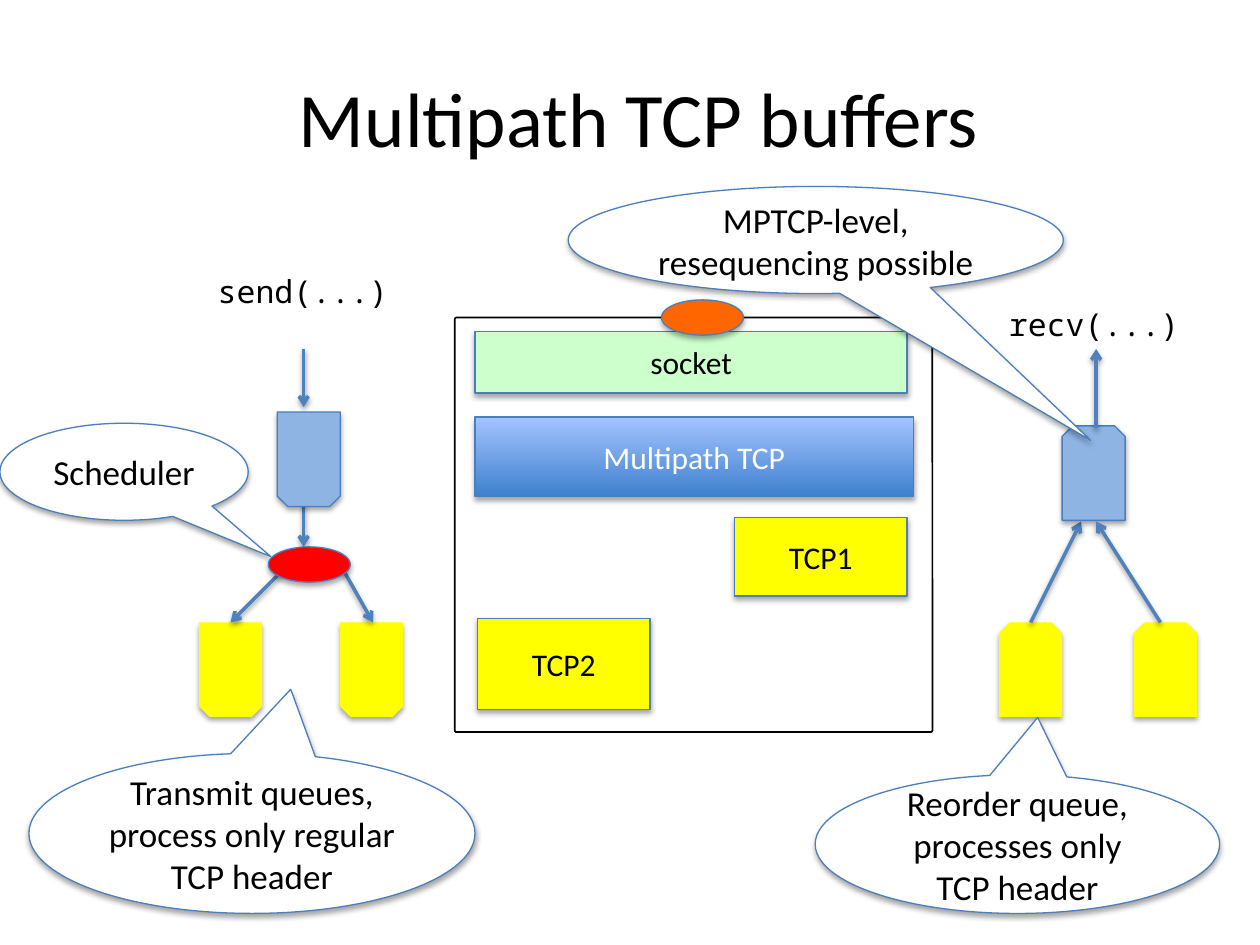
from dataclasses import dataclass
from typing import Optional

from lxml import etree
from pptx import Presentation
from pptx.dml.color import RGBColor
from pptx.enum.shapes import MSO_CONNECTOR, MSO_SHAPE
from pptx.enum.text import MSO_ANCHOR, PP_ALIGN
from pptx.oxml.ns import qn
from pptx.util import Inches, Pt

RECTANGLE = MSO_SHAPE.RECTANGLE
ROUNDED = MSO_SHAPE.ROUNDED_RECTANGLE
OVAL = MSO_SHAPE.OVAL
QUEUE = MSO_SHAPE.SNIP_2_SAME_RECTANGLE
CALLOUT = MSO_SHAPE.OVAL_CALLOUT
STRAIGHT = MSO_CONNECTOR.STRAIGHT
CENTER, LEFT = PP_ALIGN.CENTER, PP_ALIGN.LEFT
MIDDLE, TOP = MSO_ANCHOR.MIDDLE, MSO_ANCHOR.TOP


@dataclass(frozen=True)
class Theme:
    font: str = "Calibri"
    code_font: str = "Noto Sans Mono"
    title_size: float = 44
    callout_size: float = 20
    label_size: float = 18
    black: str = "000000"
    white: str = "FFFFFF"
    outline: str = "4B7EBC"
    arrow: str = "4F81BD"
    yellow: str = "FFFF00"
    green: str = "CCFFCC"
    blue: str = "8EB4E3"
    red: str = "FF0000"
    orange: str = "FF6600"
    gradient: tuple[str, str] = ("3F80CE", "A4C4FF")


THEME = Theme()


@dataclass(frozen=True)
class Node:
    kind: MSO_SHAPE
    left: float
    top: float
    width: float
    height: float
    fill: Optional[str] = None
    text: str = ""
    text_color: str = THEME.black
    size: float = THEME.label_size
    line: Optional[str] = THEME.outline
    line_width: float = 0.75
    rotation: float = 0
    adjustments: tuple[float, ...] = ()
    gradient: Optional[tuple[str, str]] = None
    shadow: bool = True


@dataclass(frozen=True)
class Arrow:
    x1: float
    y1: float
    x2: float
    y2: float


@dataclass(frozen=True)
class Label:
    left: float
    top: float
    width: float
    height: float
    text: str
    font: str = THEME.code_font
    size: float = THEME.label_size
    align: PP_ALIGN = LEFT
    anchor: MSO_ANCHOR = TOP
    wrap: bool = False


def rgb(color: str) -> RGBColor:
    return RGBColor.from_string(color)


def add_shadow(effects, opacity: int, distance: float) -> None:
    shadow = etree.SubElement(
        effects, qn("a:outerShdw"), blurRad=str(Pt(3.1)), dist=str(Pt(distance)),
        dir="5400000", rotWithShape="0")
    color = etree.SubElement(shadow, qn("a:srgbClr"), val=THEME.black)
    etree.SubElement(color, qn("a:alpha"), val=str(opacity * 1000))


def write_text(shape, text: str, font: str, size: float, color: str,
               align: PP_ALIGN, anchor: MSO_ANCHOR, wrap: bool) -> None:
    frame = shape.text_frame
    frame.word_wrap = wrap
    frame.vertical_anchor = anchor
    paragraph = frame.paragraphs[0]
    paragraph.text = text
    paragraph.alignment = align
    paragraph.font.name = font
    paragraph.font.size = Pt(size)
    paragraph.font.color.rgb = rgb(color)


def draw_node(slide, node: Node) -> None:
    shape = slide.shapes.add_shape(
        node.kind, Inches(node.left), Inches(node.top),
        Inches(node.width), Inches(node.height))
    shape.rotation = node.rotation
    for index, value in enumerate(node.adjustments):
        shape.adjustments[index] = value
    if node.gradient:
        shape.fill.gradient()
        shape.fill.gradient_angle = 90
        for stop, color in zip(shape.fill.gradient_stops, node.gradient):
            stop.color.rgb = rgb(color)
    elif node.fill:
        shape.fill.solid()
        shape.fill.fore_color.rgb = rgb(node.fill)
    else:
        shape.fill.background()
    if node.line:
        shape.line.color.rgb = rgb(node.line)
        shape.line.width = Pt(node.line_width)
    else:
        shape.line.fill.background()
    shape.shadow.inherit = False
    if node.shadow:
        add_shadow(shape.element.spPr.find(qn("a:effectLst")), 35, 1.8)
    if node.text:
        write_text(shape, node.text, THEME.font, node.size, node.text_color,
                   CENTER, MIDDLE, True)


def draw_arrow(slide, arrow: Arrow) -> None:
    connector = slide.shapes.add_connector(
        STRAIGHT, Inches(arrow.x1), Inches(arrow.y1), Inches(arrow.x2), Inches(arrow.y2))
    connector.line.color.rgb = rgb(THEME.arrow)
    connector.line.width = Pt(2)
    properties = connector.element.spPr
    etree.SubElement(properties.find(qn("a:ln")), qn("a:tailEnd"), type="arrow")
    add_shadow(etree.SubElement(properties, qn("a:effectLst")), 38, 1.6)


def draw_label(slide, label: Label) -> None:
    box = slide.shapes.add_textbox(
        Inches(label.left), Inches(label.top), Inches(label.width), Inches(label.height))
    write_text(box, label.text, label.font, label.size, THEME.black,
               label.align, label.anchor, label.wrap)


def queue(left: float, top: float, fill: str, rotation: float = 0) -> Node:
    line = None if fill == THEME.yellow else THEME.outline
    return Node(QUEUE, left, top, 0.5, 0.75, fill, line=line, rotation=rotation)


def callout(left: float, top: float, width: float, height: float, text: str,
            tip: tuple[float, float]) -> Node:
    return Node(CALLOUT, left, top, width, height, THEME.white, text,
                size=THEME.callout_size, adjustments=tip)


ITEMS = [
    Label(0.57, 0.3, 9, 1.25, "Multipath TCP buffers", THEME.font, THEME.title_size,
          CENTER, MIDDLE, True),
    Node(ROUNDED, 3.61, 2.52, 3.79, 3.29, line=THEME.black, line_width=1,
         adjustments=(0.004,), shadow=False),
    Node(RECTANGLE, 3.77, 3.31, 3.48, 0.63, text="Multipath TCP",
         text_color=THEME.white, gradient=THEME.gradient),
    Node(RECTANGLE, 5.83, 4.11, 1.37, 0.62, THEME.yellow, "TCP1"),
    Node(RECTANGLE, 3.77, 2.63, 3.43, 0.49, THEME.green, "socket"),
    Node(RECTANGLE, 3.79, 4.91, 1.37, 0.72, THEME.yellow, "TCP2"),
    Node(OVAL, 5.25, 2.38, 0.65, 0.28, THEME.orange),
    queue(1.58, 4.94, THEME.yellow, 180),
    queue(2.7, 4.94, THEME.yellow, 180),
    Arrow(2.41, 2.77, 2.41, 3.23),
    Arrow(2.29, 4.48, 1.83, 4.94),
    Arrow(2.7, 4.48, 2.96, 4.94),
    Node(OVAL, 2.13, 4.34, 0.65, 0.28, THEME.red),
    Arrow(2.41, 3.88, 2.41, 4.34),
    queue(2.2, 3.27, THEME.blue, 180),
    queue(7.93, 4.94, THEME.yellow),
    callout(0, 3.36, 1.97, 0.77, "Scheduler", (0.591, 0.874)),
    queue(9, 4.94, THEME.yellow),
    callout(0.23, 5.98, 3.54, 1.27, "Transmit queues, process only regular TCP header",
            (0.087, -0.901)),
    callout(6.47, 6.15, 3.21, 1.1, "Reorder queue, processes only TCP header",
            (0.05, -0.914)),
    Arrow(8.18, 4.94, 8.58, 4.14),
    queue(8.43, 3.38, THEME.blue),
    Arrow(9.21, 4.94, 8.7, 4.14),
    Arrow(8.7, 3.4, 8.7, 2.77),
    callout(4.51, 1.48, 3.93, 0.85, "MPTCP-level, resequencing possible", (0.555, 1.87)),
    Label(1.63, 2.11, 1.57, 0.4, "send(...)"),
    Label(7.91, 2.37, 1.57, 0.4, "recv(...)"),
]
DRAW = {Node: draw_node, Arrow: draw_arrow, Label: draw_label}


def main() -> None:
    presentation = Presentation()
    presentation.slide_width, presentation.slide_height = Inches(10), Inches(7.5)
    slide = presentation.slides.add_slide(presentation.slide_layouts[6])
    for item in ITEMS:
        DRAW[type(item)](slide, item)
    presentation.save("out.pptx")


if __name__ == "__main__":
    main()
